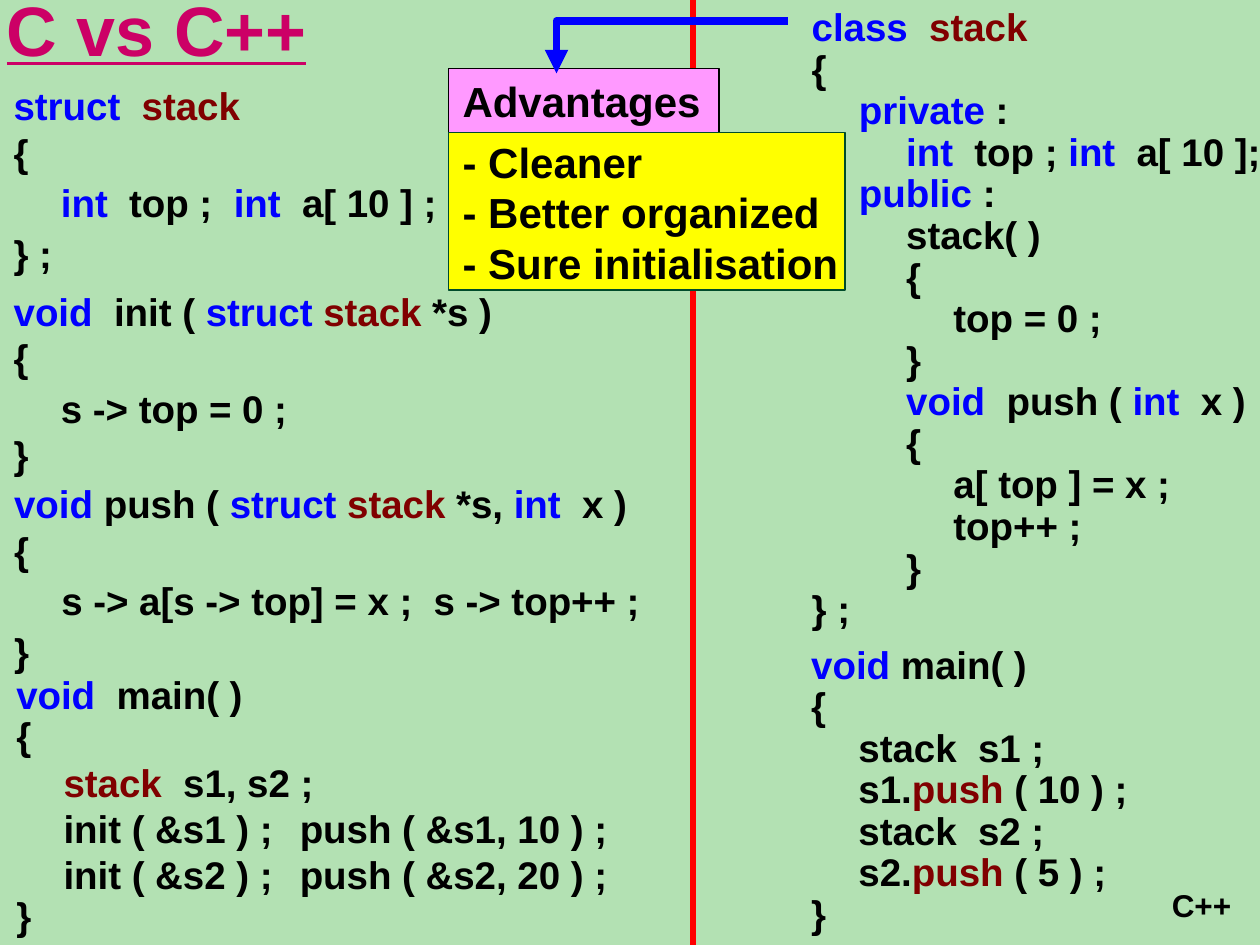
"""Build a slide that compares a stack written in C and in C++."""
from lxml import etree
from pptx import Presentation
from pptx.dml.color import RGBColor
from pptx.enum.shapes import MSO_CONNECTOR, MSO_SHAPE
from pptx.enum.text import MSO_ANCHOR, MSO_AUTO_SIZE, PP_ALIGN
from pptx.oxml.ns import qn
from pptx.util import Pt

RECT = MSO_SHAPE.RECTANGLE
STRAIGHT = MSO_CONNECTOR.STRAIGHT
MIDDLE = MSO_ANCHOR.MIDDLE
CENTER = PP_ALIGN.CENTER
NO_FIT, GROW = MSO_AUTO_SIZE.NONE, MSO_AUTO_SIZE.SHAPE_TO_FIT_TEXT

BLACK, BLUE, MAROON = "000000", "0000FF", "800000"
KEYWORDS = {"class", "private", "public", "struct", "void", "int"}
CODE_TAB = 27

C_STRUCT = [
    ("|struct|  |stack|", 1),
    ("{", 1),
    ("\t|int|  top ;  |int|  a[ 10 ] ;", 1.1),
    ("} ;", 1.1),
]
C_INIT = [
    ("|void|  init ( |struct| |stack| *s )", 1),
    ("{", 1),
    ("\ts -> top = 0 ;", 1.1),
    ("}", 1),
]
C_PUSH = [
    ("|void| push ( |struct| |stack| *s, |int|  x )", 1),
    ("{", 1),
    ("\ts -> a[s -> top] = x ;  s -> top++ ;", 1.1),
    ("}", 1.1),
]
C_MAIN = [
    ("|void|  main( )", 0.9),
    ("{", 0.9),
    ("\t|stack|  s1, s2 ;", 1),
    ("\tinit ( &s1 ) ;\tpush ( &s1, 10 ) ;", 1),
    ("\tinit ( &s2 ) ;\tpush ( &s2, 20 ) ;", 1),
    ("}", 0.9),
]
CPP_CLASS = [(line, 0.9) for line in (
    "|class|  |stack|",
    "{",
    "\t|private| :",
    "\t\t|int|  top ; |int|  a[ 10 ];",
    "\t|public| :",
    "\t\tstack( )",
    "\t\t{",
    "\t\t\ttop = 0 ;",
    "\t\t}",
    "\t\t|void|  push ( |int|  x )",
    "\t\t{",
    "\t\t\ta[ top ] = x ;",
    "\t\t\ttop++ ;",
    "\t\t}",
    "} ;",
)]
CPP_MAIN = [(line, 0.9) for line in (
    "|void| main( )",
    "{",
    "\tstack  s1 ;",
    "\ts1.|push| ( 10 ) ;",
    "\tstack  s2 ;",
    "\ts2.|push| ( 5 ) ;",
    "}",
)]


def rgb(value):
    return RGBColor.from_string(value)


class Deck:
    """Holds the style and the current slide."""

    def __init__(self, slide, font="Arial"):
        self.slide, self.font = slide, font

    def format(self, font, size, color, **extra):
        values = {"name": self.font, "size": Pt(size), "bold": True, **extra}
        for name, value in values.items():
            setattr(font, name, value)
        font.color.rgb = rgb(color)

    def background(self, color):
        fill = self.slide.background.fill
        fill.solid()
        fill.fore_color.rgb = rgb(color)

    def title(self, text, box, size, color):
        sp = self.slide.shapes.title
        for name, value in zip(("left", "top", "width", "height"), box):
            setattr(sp, name, Pt(value))
        tf = sp.text_frame
        tf.auto_size, tf.vertical_anchor = NO_FIT, MIDDLE
        p = tf.paragraphs[0]
        p.alignment = CENTER
        r = p.add_run()
        r.text = text
        self.format(r.font, size, color, underline=True)

    def line(self, start, end, color, width):
        cxn = self.slide.shapes.add_connector(STRAIGHT, *map(Pt, start + end))
        cxn.line.color.rgb, cxn.line.width = rgb(color), Pt(width)
        etree.SubElement(cxn._element.spPr, qn("a:effectLst"))

    def rect(self, box, fill, line):
        sp = self.slide.shapes.add_shape(RECT, *map(Pt, box))
        sp.shadow.inherit = False
        sp.fill.solid()
        sp.fill.fore_color.rgb = rgb(fill)
        sp.line.color.rgb, sp.line.width = rgb(line), Pt(0.75)

    def arrow(self, points, color, width):
        start, *rest = [(Pt(x), Pt(y)) for x, y in points]
        builder = self.slide.shapes.build_freeform(*start)
        builder.add_line_segments(rest, close=False)
        sp = builder.convert_to_shape()
        sp.shadow.inherit = False
        sp.fill.background()
        sp.line.color.rgb, sp.line.width = rgb(color), Pt(width)
        ln = sp._element.spPr.find(qn("a:ln"))
        etree.SubElement(ln, qn("a:tailEnd"), type="triangle")

    def text(self, lines, box, size=22, tab=None):
        sp = self.slide.shapes.add_textbox(*map(Pt, box))
        tf = sp.text_frame
        tf.word_wrap, tf.auto_size = False, GROW
        for i, (line, spacing) in enumerate(lines):
            p = tf.add_paragraph() if i else tf.paragraphs[0]
            p.line_spacing = spacing
            if tab:
                self.tabs(p, tab)
            for j, part in enumerate(line.split("|")):
                if part:
                    color = BLUE if part in KEYWORDS else MAROON
                    r = p.add_run()
                    r.text = part
                    self.format(r.font, size, color if j % 2 else BLACK)

    def tabs(self, p, step):
        stops = etree.SubElement(p._p.get_or_add_pPr(), qn("a:tabLst"))
        for n in range(1, 8):
            etree.SubElement(stops, qn("a:tab"), pos=str(Pt(n * step)), algn="l")

    def code(self, lines, box):
        self.text(lines, box, tab=CODE_TAB)


def main():
    prs = Presentation()
    prs.slide_width, prs.slide_height = Pt(720), Pt(540)
    s = Deck(prs.slides.add_slide(prs.slide_layouts[5]))
    s.background("B3E1B3")
    s.title("C vs C++", (-18, -29, 215, 90), 40, "CC0066")
    s.line((396, -10), (396, 549), "FF0000", 3)

    s.rect((256.5, 39, 154.5, 40), "FF99FF", BLACK)
    s.text([("Advantages", 1)], (257.25, 39.5, 152, 36), 24)
    s.rect((256.5, 75.75, 226.5, 90), "FFFF00", "004C2B")
    s.arrow([(450, 12), (318, 12), (318, 42)], BLUE, 4.5)

    s.code(CPP_CLASS, (456.75, 1.25, 273, 363.5))
    s.code(CPP_MAIN, (456.5, 365.5, 197, 173.5))
    s.code(C_STRUCT, (0.75, 43.5, 260, 118))
    s.code(C_INIT, (0.75, 161, 292, 116))
    s.code(C_PUSH, (1, 271, 375, 118))
    s.code(C_MAIN, (2.25, 382.75, 360, 158))

    benefits = ("- Cleaner", "- Better organized", "- Sure initialisation")
    s.text([(line, 1) for line in benefits], (257.25, 74.5, 231, 94), 24)
    s.text([("C++", 1)], (662.5, 502.5, 52, 29), 18)
    prs.save("out.pptx")


if __name__ == "__main__":
    main()
